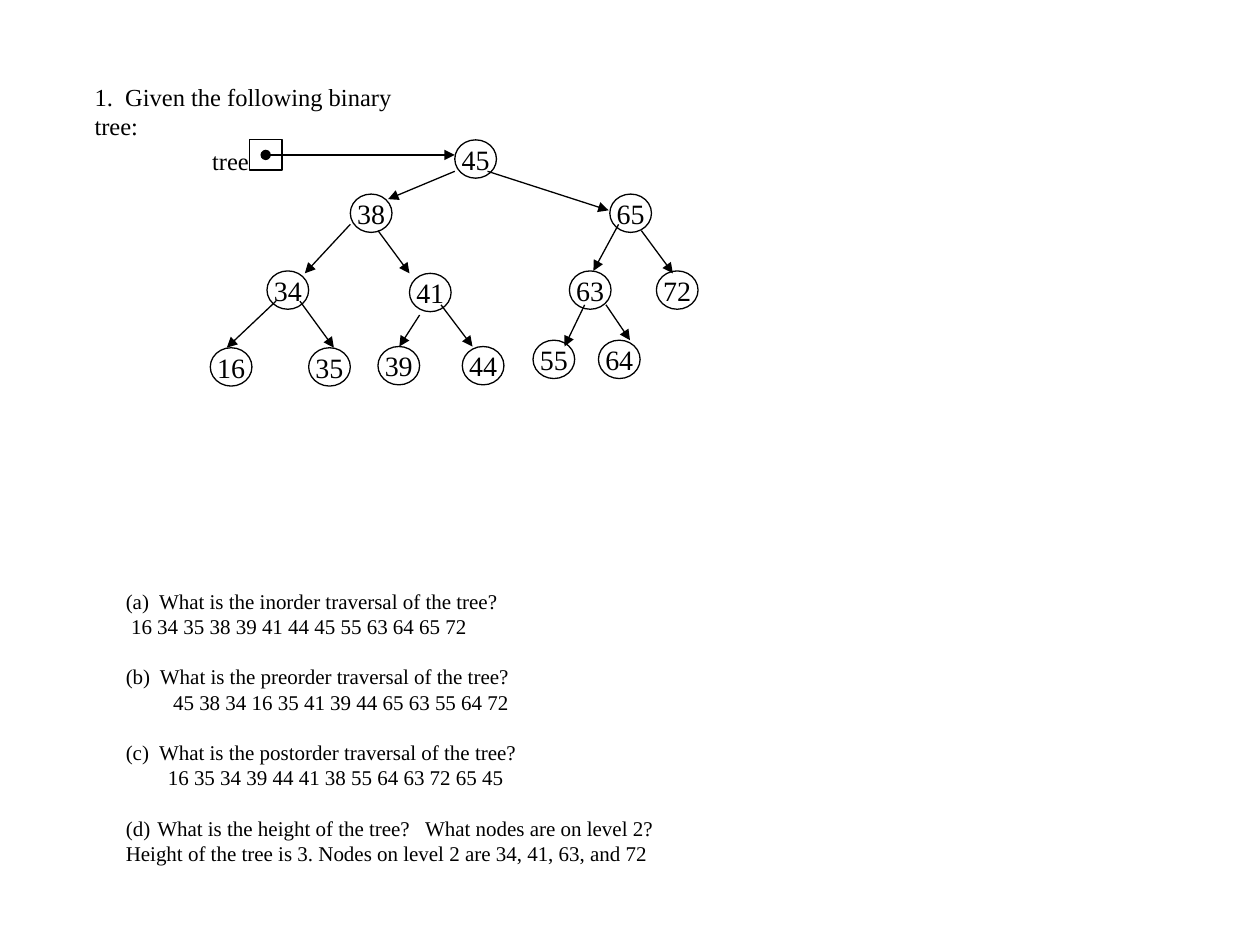
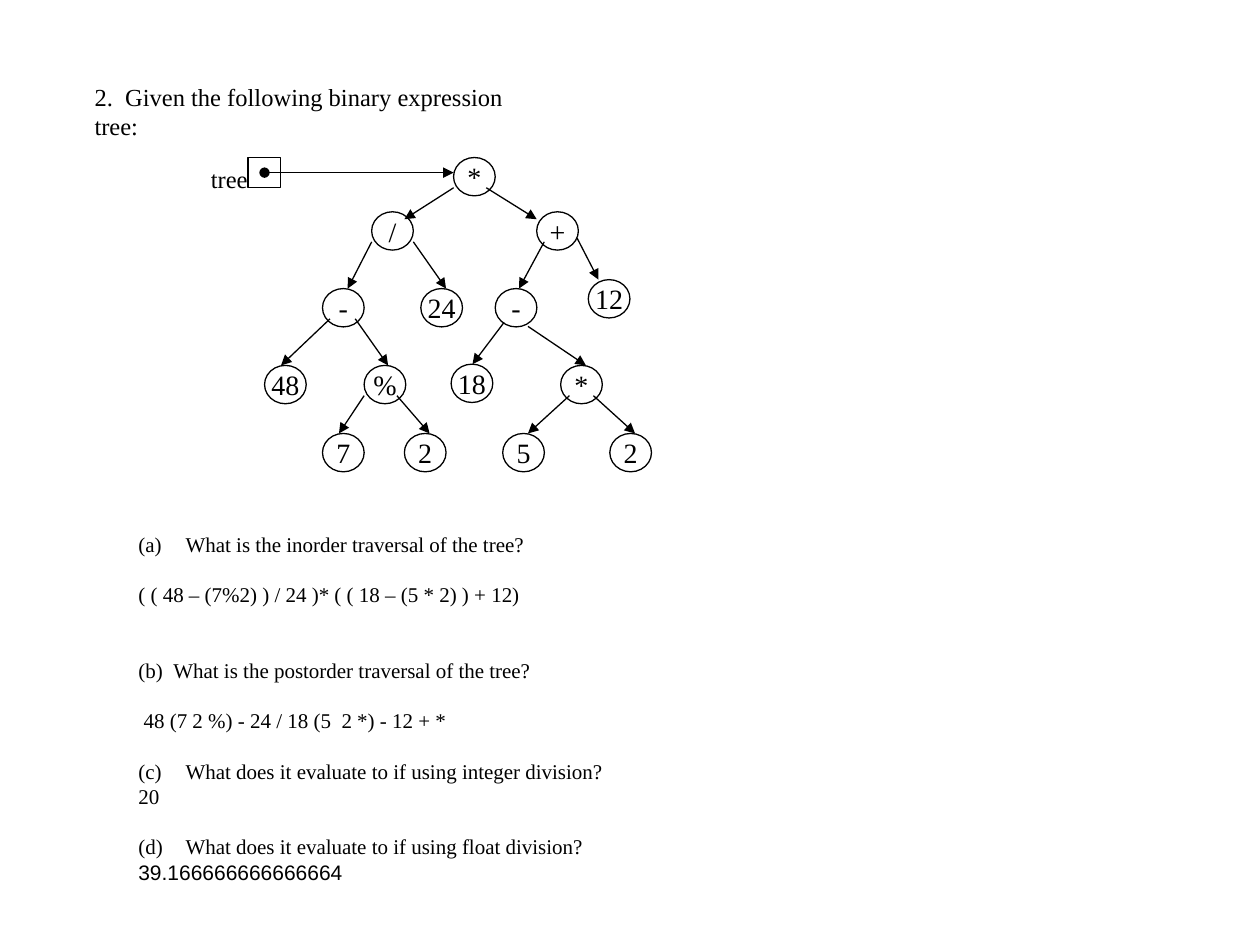
from dataclasses import dataclass

from lxml import etree
from pptx import Presentation
from pptx.dml.color import RGBColor
from pptx.enum import shapes, text
from pptx.oxml.ns import qn
from pptx.util import Pt


@dataclass(frozen=True)
class Theme:
    """Colours, fonts and sizes shared by both slides, in points."""
    ink: RGBColor = RGBColor(0, 0, 0)
    serif: str = "Times New Roman"
    sans: str = "Arial"
    title: float = 14
    body: float = 12
    node: float = 16
    leading: float = 1.2
    line: float = 0.75
    inset_x: float = 7.2
    inset_y: float = 3.6


T = Theme()
NODE_W, NODE_H = 23.8, 21.9
BOX_W, BOX_H, BOX_GAP = 18.7, 17.3, 117.4  # pointer box, and its distance left of the root
LABEL_GAP, LABEL_W, LABEL_H = 145.8, 35.3, 23.8

# Node: label, left, top, then the arrow that leads to it (x1, y1, x2, y2). The root comes first.
SEARCH_TREE = [
    ("45", 259.9, 79.9, None),
    ("38", 200.2, 110.9, (259.9, 97.9, 221.8, 113.8)),
    ("65", 348.5, 110.9, (278.6, 97.9, 347.8, 120.2)),
    ("34", 152.6, 154.8, (200.2, 128.2, 174.2, 156.2)),
    ("41", 234, 156.2, (216, 131.8, 234, 156.2)),
    ("63", 325.4, 154.8, (353.5, 128.2, 339.1, 154.8)),
    ("72", 375.1, 154.8, (366.5, 131.8, 384.5, 156.2)),
    ("16", 120.2, 198.7, (157.7, 172.1, 129.6, 198.7)),
    ("35", 176.4, 198.7, (171.4, 172.1, 190.8, 198.7)),
    ("39", 216, 198, (239.8, 180, 228.2, 198)),
    ("44", 264.2, 198, (252, 174.2, 270, 198)),
    ("55", 304.6, 194.4, (334.1, 174.2, 322.6, 198)),
    ("64", 342, 194.4, (346.3, 174.2, 360, 194.4)),
]
EXPRESSION_TREE = [
    ("*", 259.2, 90, None),
    ("/", 212.4, 121, (259.2, 107.3, 231.1, 125.3)),
    ("+", 306.7, 121, (277.9, 107.3, 306.7, 125.3)),
    ("-", 184.3, 164.9, (212.4, 138.2, 198.7, 164.9)),
    ("24", 240.5, 164.9, (236.2, 138.2, 254.9, 164.9)),
    ("-", 283, 164.9, (311, 138.2, 296.6, 164.9)),
    ("12", 336.2, 159.8, (329.8, 136.1, 342, 159.8)),
    ("48", 151.2, 208.8, (188.6, 182.2, 160.6, 208.8)),
    ("%", 208.1, 208.8, (203, 182.2, 221.8, 208.8)),
    ("18", 257.8, 208.1, (288, 184.3, 270, 208.1)),
    ("*", 320.4, 208.8, (301.7, 186.5, 334.8, 208.8)),
    ("7", 184.3, 247.7, (208.1, 226.1, 193.7, 247.7)),
    ("2", 231.1, 247.7, (226.8, 226.1, 245.5, 247.7)),
    ("5", 287.3, 247.7, (325.4, 226.1, 301.7, 247.7)),
    ("2", 348.5, 247.7, (339.1, 226.1, 362.9, 247.7)),
]

# Line: text, lines of space above, left indent, hanging (bool), automatic number or None, font
SLIDES = [
    dict(
        title="1.  Given the following binary tree:", title_w=208, tree=SEARCH_TREE,
        box=(64.8, 332.6, 526.3, 167),
        lines=[
            ("(a)\tWhat is the inorder traversal of the tree?", 0, 19, True, None, T.serif),
            ("16 34 35 38 39 41 44 45 55 63 64 65 72", 0, 3, False, None, T.serif),
            ("(b)\tWhat is the preorder traversal of the tree?", 1, 19.5, True, None, T.serif),
            ("45 38 34 16 35 41 39 44 65 63 55 64 72", 0, 27, False, None, T.serif),
            ("(c)\tWhat is the postorder traversal of the tree?", 1, 19, True, None, T.serif),
            ("16 35 34 39 44 41 38 55 64 63 72 65 45", 0, 24, False, None, T.serif),
            ("What is the height of the tree?   What nodes are on level 2?", 1, 18, True, 4, T.serif),
            ("Height of the tree is 3. Nodes on level 2 are 34, 41, 63, and 72",
             0, 0, False, None, T.serif),
        ]),
    dict(
        title="2.  Given the following binary expression tree:", title_w=272, tree=EXPRESSION_TREE,
        box=(72, 300.2, 283.7, 239.8),
        lines=[
            ("What is the inorder traversal of the tree?", 0, 27, True, 1, T.serif),
            ("( ( 48 – (7%2) ) / 24 )* ( ( 18 – (5 * 2) ) + 12)", 1, 0, False, None, T.serif),
            ("(b)\tWhat is the postorder traversal of the tree?", 2, 20, True, None, T.serif),
            ("48 (7 2 %) - 24 / 18 (5  2 *) - 12 + *", 1, 3, False, None, T.serif),
            ("What does it evaluate to if using integer division?", 1, 27, True, 3, T.serif),
            ("20", 0, 0, False, None, T.serif),
            ("What does it evaluate to if using float division?", 1, 27, True, 4, T.serif),
            ("39.166666666666664", 0, 0, False, None, T.sans),
        ]),
]


def place(sp, left, top, width, height):
    """Set the position and size of a shape in points."""
    sp.left, sp.top, sp.width, sp.height = Pt(left), Pt(top), Pt(width), Pt(height)


def style(p, size, font=T.serif, align=text.PP_ALIGN.LEFT):
    """Format one paragraph and its runs."""
    p.alignment = align
    for r in p.runs:
        r.font.size, r.font.name, r.font.bold = Pt(size), font, False
        r.font.color.rgb = T.ink


def frame(sp, wrap, inset_x=T.inset_x, inset_y=T.inset_y, anchor=text.MSO_ANCHOR.TOP):
    """Set wrapping, insets and anchor; return the text frame."""
    tf = sp.text_frame
    tf.auto_size = text.MSO_AUTO_SIZE.NONE
    tf.word_wrap, tf.vertical_anchor = wrap, anchor
    tf.margin_left = tf.margin_right = Pt(inset_x)
    tf.margin_top = tf.margin_bottom = Pt(inset_y)
    return tf


def add_title(s, words, width):
    """Fill and place the title placeholder."""
    sp = s.shapes.title
    place(sp, 46.8, 43.2, width, 23.8)
    tf = frame(sp, True)
    tf.text = words
    p = tf.paragraphs[0]
    style(p, T.title)
    p.line_spacing = Pt(T.title * T.leading)


def add_outline(s, kind, left, top, width, height):
    """Add an unfilled shape with a thin outline."""
    sp = s.shapes.add_shape(kind, Pt(left), Pt(top), Pt(width), Pt(height))
    sp.shadow.inherit = False
    sp.fill.background()
    sp.line.color.rgb, sp.line.width = T.ink, Pt(T.line)
    return sp


def add_arrow(s, x1, y1, x2, y2, start="none"):
    """Add a line with a triangle at its end."""
    c = s.shapes.add_connector(shapes.MSO_CONNECTOR.STRAIGHT, Pt(x1), Pt(y1), Pt(x2), Pt(y2))
    c.line.color.rgb, c.line.width = T.ink, Pt(T.line)
    ln = c.line._get_or_add_ln()
    etree.SubElement(ln, qn("a:headEnd"), type=start)
    etree.SubElement(ln, qn("a:tailEnd"), type="triangle")
    etree.SubElement(ln.getparent(), qn("a:effectLst"))


def add_tree(s, nodes):
    """Draw the nodes, their arrows and the pointer to the root."""
    for label, left, top, _ in nodes:
        sp = add_outline(s, shapes.MSO_SHAPE.OVAL, left, top, NODE_W, NODE_H)
        tf = frame(sp, False, 0, 0, text.MSO_ANCHOR.MIDDLE)
        tf.text = label
        style(tf.paragraphs[0], T.node, align=text.PP_ALIGN.CENTER)
    for *_, arrow in nodes[1:]:
        add_arrow(s, *arrow)

    _, left, top, _ = nodes[0]
    box_left, mid = left - BOX_GAP, top + BOX_H / 2
    add_outline(s, shapes.MSO_SHAPE.RECTANGLE, box_left, top, BOX_W, BOX_H)
    sp = s.shapes.add_textbox(Pt(left - LABEL_GAP), Pt(top), Pt(LABEL_W), Pt(LABEL_H))
    tf = frame(sp, False)
    tf.text = "tree"
    style(tf.paragraphs[0], T.title)
    add_arrow(s, box_left + BOX_W / 2, mid, left, mid, "oval")


def add_questions(s, box, lines):
    """Add the questions and answers, spaced and indented by paragraph."""
    sp = s.shapes.add_textbox(*map(Pt, box))
    tf = frame(sp, True)
    pitch = T.body * T.leading
    for i, (words, above, indent, hanging, number, font) in enumerate(lines):
        p = tf.add_paragraph() if i else tf.paragraphs[0]
        p.text = words
        style(p, T.body, font)
        p.line_spacing, p.space_before = Pt(pitch), Pt(above * pitch)
        pPr = p._p.get_or_add_pPr()
        pPr.set("marL", str(Pt(indent)))
        pPr.set("indent", str(-Pt(indent) if hanging else 0))
        if number:
            etree.SubElement(pPr, qn("a:buAutoNum"), type="alphaLcParenBoth", startAt=str(number))


def main():
    """Build both slides and save the file."""
    prs = Presentation()
    prs.slide_width, prs.slide_height = Pt(720), Pt(540)
    for spec_data in SLIDES:
        s = prs.slides.add_slide(prs.slide_layouts[5])
        add_title(s, spec_data["title"], spec_data["title_w"])
        add_questions(s, spec_data["box"], spec_data["lines"])
        add_tree(s, spec_data["tree"])
    prs.save("out.pptx")


main()
